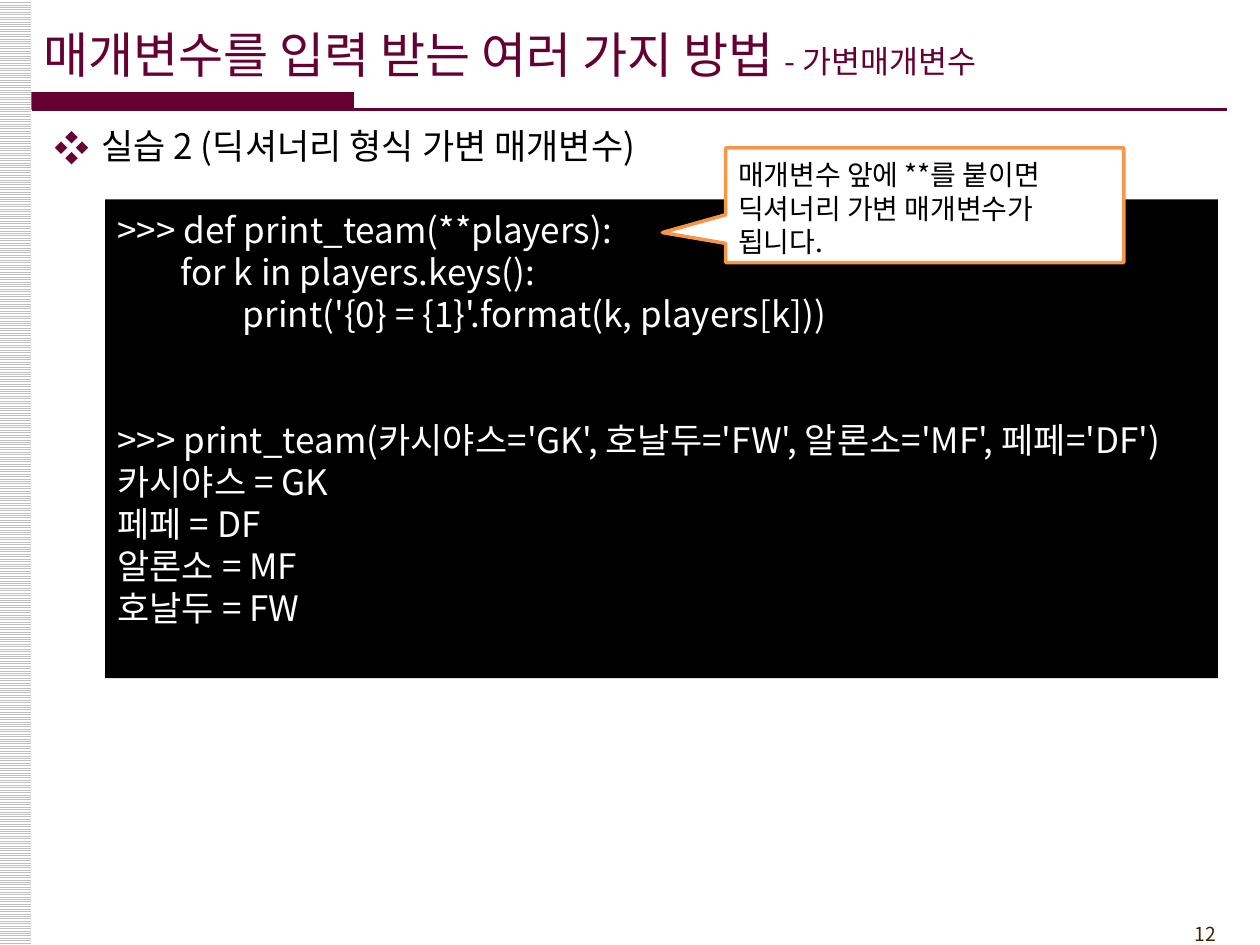
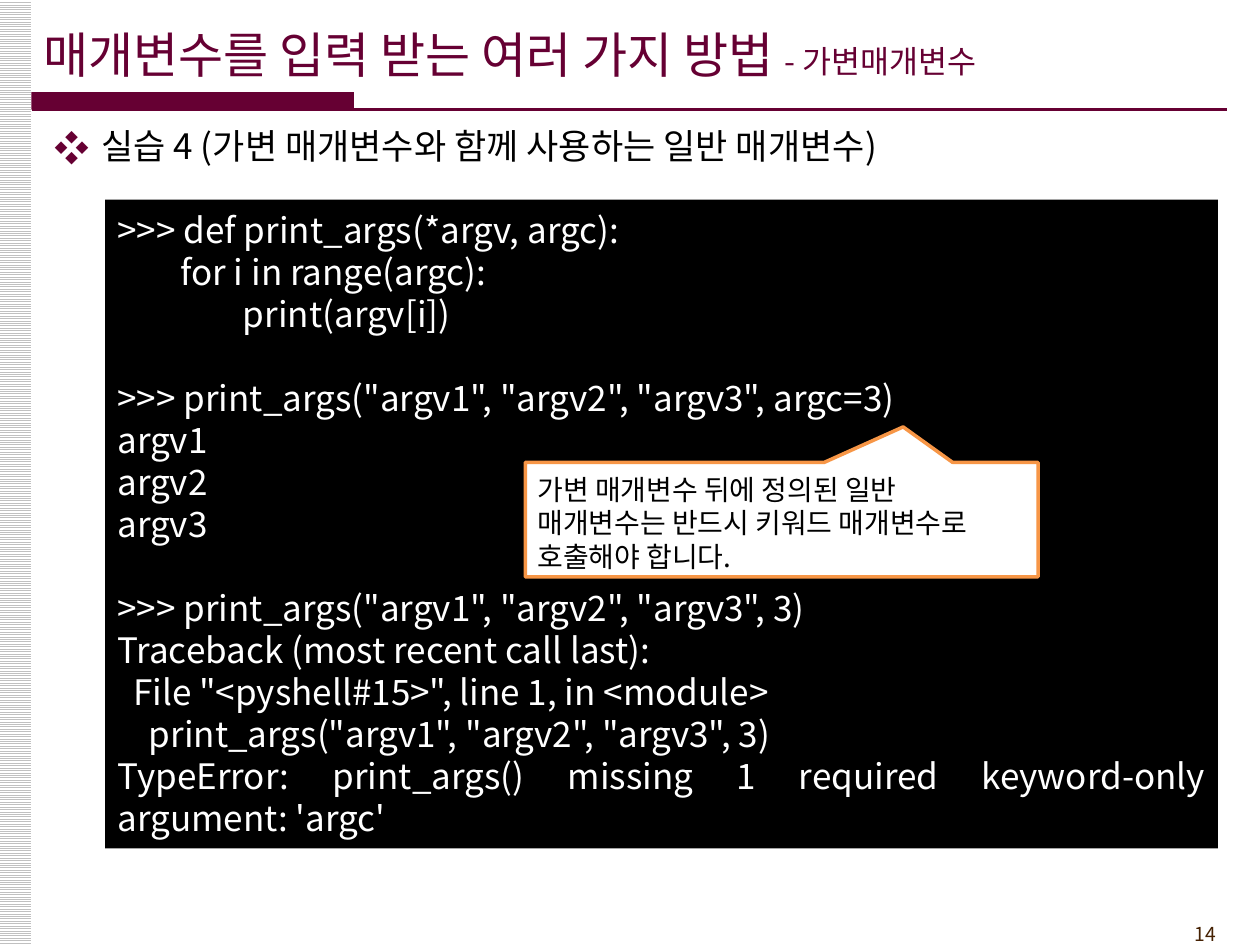
from lxml.etree import SubElement
from pptx import Presentation
from pptx.dml.color import RGBColor
from pptx.enum.dml import MSO_PATTERN
from pptx.enum.shapes import MSO_CONNECTOR, MSO_SHAPE
from pptx.enum.text import MSO_ANCHOR, PP_ALIGN
from pptx.oxml.ns import qn
from pptx.util import Pt

FONT = "Noto Sans CJK KR"
WINE = RGBColor(0x66, 0x00, 0x33)
BLACK = RGBColor(0x00, 0x00, 0x00)
WHITE = RGBColor(0xFF, 0xFF, 0xFF)
SILVER = RGBColor(0xC0, 0xC0, 0xC0)
BROWN = RGBColor(0x45, 0x21, 0x03)
ORANGE = RGBColor(0xF7, 0x96, 0x46)

TITLE = [("매개변수를 입력 받는 여러 가지 방법 ", 28), ("- 가변매개변수", 18)]
LINE_HEIGHT = 1.2
CODE_SIZE = 20

LESSONS = [
    {
        "number": "12",
        "heading": "실습 2 (딕셔너리 형식 가변 매개변수)",
        "code_height": 273.6,
        "blocks": [
            """>>> def print_team(**players):
        for k in players.keys():
                print('{0} = {1}'.format(k, players[k]))""",
            """>>> print_team(카시야스='GK', 호날두='FW', 알론소='MF', 페페='DF')
카시야스 = GK
페페 = DF
알론소 = MF
호날두 = FW""",
        ],
        "gap_lines": 2,
        "callout": "매개변수 앞에 **를 붙이면 딕셔너리 가변 매개변수가 됩니다.",
        "callout_frame": (414.7, 84.5, 227.5, 65.5),
        "callout_tip": (-0.659, 0.239),
    },
    {
        "number": "14",
        "heading": "실습 4 (가변 매개변수와 함께 사용하는 일반 매개변수)",
        "code_height": 370.8,
        "blocks": [
            """>>> def print_args(*argv, argc):
        for i in range(argc):
                print(argv[i])""",
            """>>> print_args("argv1", "argv2", "argv3", argc=3)
argv1
argv2
argv3""",
            """>>> print_args("argv1", "argv2", "argv3", 3)
Traceback (most recent call last):
  File "<pyshell#15>", line 1, in <module>
    print_args("argv1", "argv2", "argv3", 3)
TypeError: print_args() missing 1 required keyword-only argument: 'argc'""",
        ],
        "gap_lines": 1,
        "callout": "가변 매개변수 뒤에 정의된 일반 매개변수는 반드시 키워드 매개변수로 호출해야 합니다.",
        "callout_frame": (300.2, 264.2, 293, 65.5),
        "callout_tip": (0.237, -0.809),
    },
]


def add_box(page, frame, kind=None, fill=None, anchor=MSO_ANCHOR.TOP):
    lengths = [Pt(length) for length in frame]
    if kind is None:
        box = page.shapes.add_textbox(*lengths)
    else:
        box = page.shapes.add_shape(kind, *lengths)
        box.shadow.inherit = False
        box.line.fill.background()
    if fill is not None:
        box.fill.solid()
        box.fill.fore_color.rgb = fill
    text = box.text_frame
    text.word_wrap = True
    text.vertical_anchor = anchor
    text.margin_top, text.margin_bottom = Pt(5.2), Pt(2)
    return box


def write(para, spans, color, align=PP_ALIGN.LEFT):
    para.alignment = align
    para.line_spacing = Pt(max(size for _, size in spans) * LINE_HEIGHT)
    for words, size in spans:
        span = para.add_run()
        span.text = words
        span.font.size = Pt(size)
        span.font.name = FONT
        span.font.color.rgb = color
        SubElement(span.font._element, qn("a:ea"), typeface=FONT)


deck = Presentation()
deck.slide_width, deck.slide_height = Pt(720), Pt(540)

for lesson in LESSONS:
    page = deck.slides.add_slide(deck.slide_layouts[6])

    side_band = add_box(page, (-0.7, 0, 18.7, 540), MSO_SHAPE.RECTANGLE)
    side_band.fill.patterned()
    side_band.fill.pattern = MSO_PATTERN.LIGHT_HORIZONTAL
    side_band.fill.fore_color.rgb = SILVER
    side_band.fill.back_color.rgb = WHITE

    page_number = add_box(page, (642.2, 522, 59.8, 20.9))
    write(page_number.text_frame.paragraphs[0], [(lesson["number"], 11)], BROWN, PP_ALIGN.RIGHT)

    add_box(page, (18, 52.6, 184.3, 10), MSO_SHAPE.RECTANGLE, WINE)
    rule = page.shapes.add_connector(MSO_CONNECTOR.STRAIGHT, Pt(18), Pt(62.5), Pt(701.3), Pt(62.5))
    rule.line.color.rgb = WINE
    rule.line.width = Pt(1.5)
    SubElement(rule._element.spPr, qn("a:effectLst"))

    heading = add_box(page, (23.8, 66.2, 684, 36))
    para = heading.text_frame.paragraphs[0]
    write(para, [(lesson["heading"], 20)], BLACK)
    properties = para._p.get_or_add_pPr()
    properties.set("marL", str(Pt(27)))
    properties.set("indent", str(Pt(-27)))
    bullet_color = SubElement(properties, qn("a:buClr"))
    SubElement(bullet_color, qn("a:srgbClr"), val=str(WINE))
    SubElement(properties, qn("a:buFont"), typeface=FONT)
    SubElement(properties, qn("a:buChar"), char="❖")

    title = add_box(page, (18, 6.5, 595.4, 45.4), anchor=MSO_ANCHOR.MIDDLE)
    write(title.text_frame.paragraphs[0], TITLE, WINE)

    code_box = add_box(page, (60, 114, 636, lesson["code_height"]), MSO_SHAPE.RECTANGLE, BLACK)
    para = code_box.text_frame.paragraphs[0]
    for block_index, block in enumerate(lesson["blocks"]):
        for line_index, line in enumerate(block.splitlines()):
            if block_index or line_index:
                para = code_box.text_frame.add_paragraph()
            if block_index and line_index == 0:
                para.space_before = Pt(lesson["gap_lines"] * CODE_SIZE * LINE_HEIGHT)
            write(para, [(line, CODE_SIZE)], WHITE, PP_ALIGN.JUSTIFY)

    callout = add_box(page, lesson["callout_frame"], MSO_SHAPE.RECTANGULAR_CALLOUT, WHITE, MSO_ANCHOR.MIDDLE)
    callout.adjustments[0], callout.adjustments[1] = lesson["callout_tip"]
    callout.line.color.rgb = ORANGE
    callout.line.width = Pt(2)
    write(callout.text_frame.paragraphs[0], [(lesson["callout"], 16)], BLACK)

deck.save("out.pptx")
